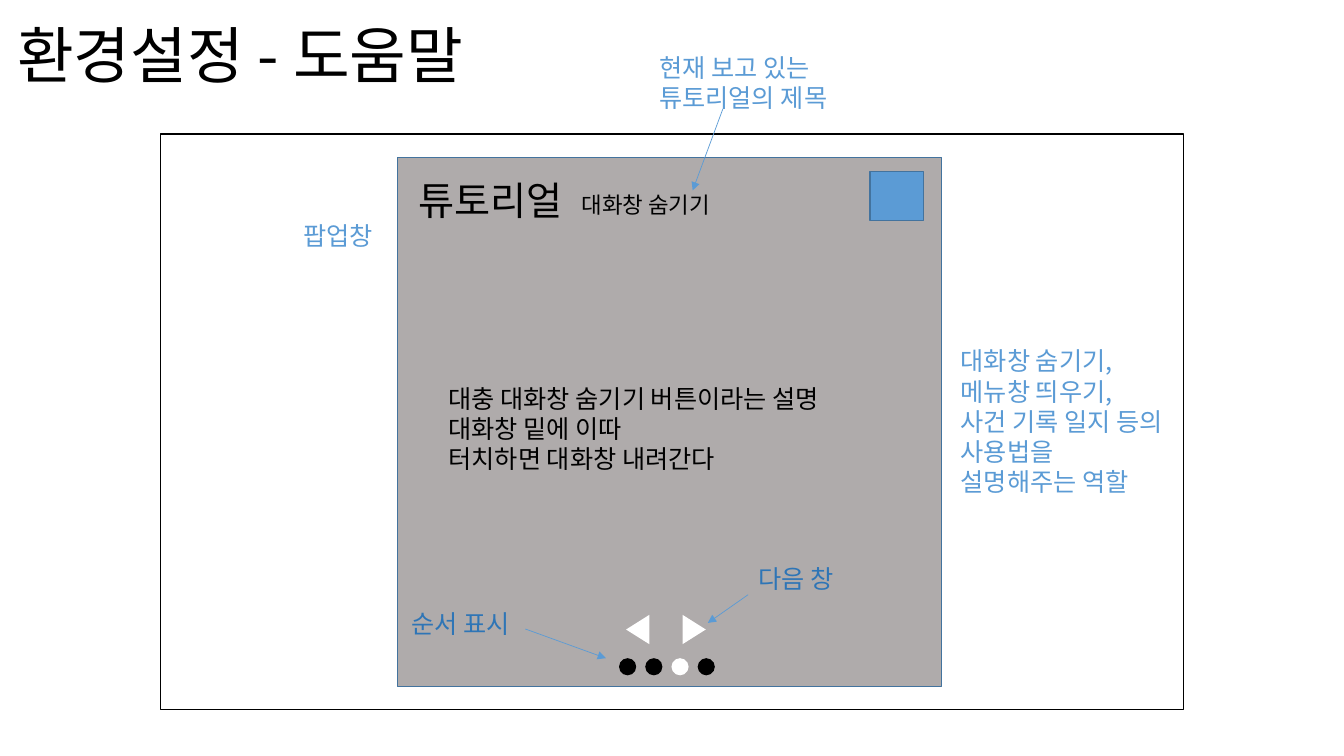
from dataclasses import dataclass

from lxml.etree import SubElement
from pptx import Presentation
from pptx.dml.color import RGBColor
from pptx.enum.shapes import MSO_CONNECTOR, MSO_SHAPE
from pptx.enum.text import MSO_ANCHOR, PP_ALIGN
from pptx.oxml.ns import qn
from pptx.util import Inches, Pt


@dataclass(frozen=True)
class Theme:
    font: str = "Noto Sans CJK KR"
    black: str = "000000"
    white: str = "FFFFFF"
    panel: str = "AFABAB"
    accent: str = "5B9BD5"
    accent_dark: str = "2E75B6"
    border: str = "43739E"
    title: int = 44
    heading: int = 28
    body: int = 18
    caption: int = 16
    outline: float = 1
    arrow: float = 0.5


T = Theme()


def color(value):
    return RGBColor.from_string(value)


def write(tf, lines, size, ink, spacing=None, **frame):
    frame = {"word_wrap": True, "vertical_anchor": MSO_ANCHOR.TOP} | frame
    for name, value in frame.items():
        setattr(tf, name, value)
    for i, line in enumerate(lines):
        p = tf.paragraphs[0] if i == 0 else tf.add_paragraph()
        p.alignment = PP_ALIGN.LEFT
        if spacing:
            p.line_spacing = spacing
        r = p.add_run()
        r.text = line
        for name, value in {"size": Pt(size), "name": T.font}.items():
            setattr(r.font, name, value)
        r.font.color.rgb = color(ink)
        SubElement(r.font._element, qn("a:ea"), typeface=T.font)


def add_text(s, box, lines, size=T.body, ink=T.accent):
    tb = s.shapes.add_textbox(*map(Inches, box))
    write(tb.text_frame, lines, size, ink)


def add_shape(s, kind, box, fill=None, line=None, rotation=0):
    sp = s.shapes.add_shape(kind, *map(Inches, box))
    sp.shadow.inherit = False
    sp.rotation = rotation
    if fill:
        sp.fill.solid()
        sp.fill.fore_color.rgb = color(fill)
    else:
        sp.fill.background()
    if line:
        sp.line.color.rgb = color(line)
        sp.line.width = Pt(T.outline)
    else:
        sp.line.fill.background()


def add_arrow(s, start, end):
    c = s.shapes.add_connector(MSO_CONNECTOR.STRAIGHT, *map(Inches, start + end))
    c.line.color.rgb = color(T.accent)
    c.line.width = Pt(T.arrow)
    SubElement(c.line._get_or_add_ln(), qn("a:tailEnd"), type="triangle")
    SubElement(c._element.spPr, qn("a:effectLst"))


def add_title(s, box, text):
    title = s.shapes.title
    for name, value in zip(("left", "top", "width", "height"), box):
        setattr(title, name, Inches(value))
    write(title.text_frame, [text], T.title, T.black, 0.9,
          vertical_anchor=MSO_ANCHOR.MIDDLE)


def add_popup(s, box):
    x, y, w, h = box
    add_shape(s, MSO_SHAPE.RECTANGLE, box, T.panel, T.border)
    add_text(s, (x + 0.11, y + 0.14, 3.77, 0.57), ["튜토리얼"], T.heading, T.black)
    add_text(s, (x + 1.73, y + 0.29, 1.92, 0.37), ["대화창 숨기기"], T.caption, T.black)
    add_text(s, (x + 0.41, y + 2.19, 4.45, 1.31),
             ["대충 대화창 숨기기 버튼이라는 설명", "대화창 밑에 이따", "터치하면 대화창 내려간다"],
             ink=T.black)
    add_shape(s, MSO_SHAPE.RECTANGLE, (x + w - 0.71, y + 0.14, 0.53, 0.49),
              T.accent, T.border)
    add_pager(s, (x + 2.2, y + h - 0.68, 0.95, 0.6))


def add_pager(s, box, count=4, current=2):
    x, y, w, h = box
    dot = 0.17
    step = (w - dot) / (count - 1)
    for i in range(count):
        add_shape(s, MSO_SHAPE.OVAL, (x + i * step, y + h - dot - 0.03, dot, dot),
                  T.white if i == current else T.black)
    for left, rotation in ((0.04, 270), (0.6, 90)):
        add_shape(s, MSO_SHAPE.ISOSCELES_TRIANGLE, (x + left, y, 0.29, 0.23),
                  T.white, rotation=rotation)


def add_notes_around(s, box):
    x, y, w, h = box
    add_arrow(s, (x + 3.23, y - 0.48), (x + 2.93, y + 0.33))
    add_text(s, (x + 2.5, y - 1.09, 2.13, 0.71), ["현재 보고 있는 튜토리얼의 제목"])
    add_arrow(s, (x + 3.48, y + 4.34), (x + 3.08, y + 4.62))
    add_text(s, (x + 3.48, y + 3.98, 1.45, 0.4), ["다음 창"], ink=T.accent_dark)
    add_arrow(s, (x + 1.27, y + 4.68), (x + 2.07, y + 4.97))
    add_text(s, (x + 0.04, y + 4.43, 1.33, 0.4), ["순서 표시"], ink=T.accent_dark)
    add_text(s, (x - 1.03, y + 0.58, 1.25, 0.4), ["팝업창"])
    add_text(s, (x + w + 0.09, y + 1.82, 2.25, 1.62),
             ["대화창 숨기기,", "메뉴창 띄우기,", "사건 기록 일지 등의 사용법을 설명해주는 역할"])


def main():
    prs = Presentation()
    prs.slide_width, prs.slide_height = Inches(13.33), Inches(7.5)
    s = prs.slides.add_slide(prs.slide_layouts[5])
    popup = (3.94, 1.56, 5.4, 5.25)
    add_title(s, (0.07, 0.06, 11.28, 1.05), "환경설정 - 도움말")
    add_shape(s, MSO_SHAPE.RECTANGLE, (1.59, 1.33, 10.15, 5.71), line=T.black)
    add_popup(s, popup)
    add_notes_around(s, popup)
    prs.save("out.pptx")


if __name__ == "__main__":
    main()
